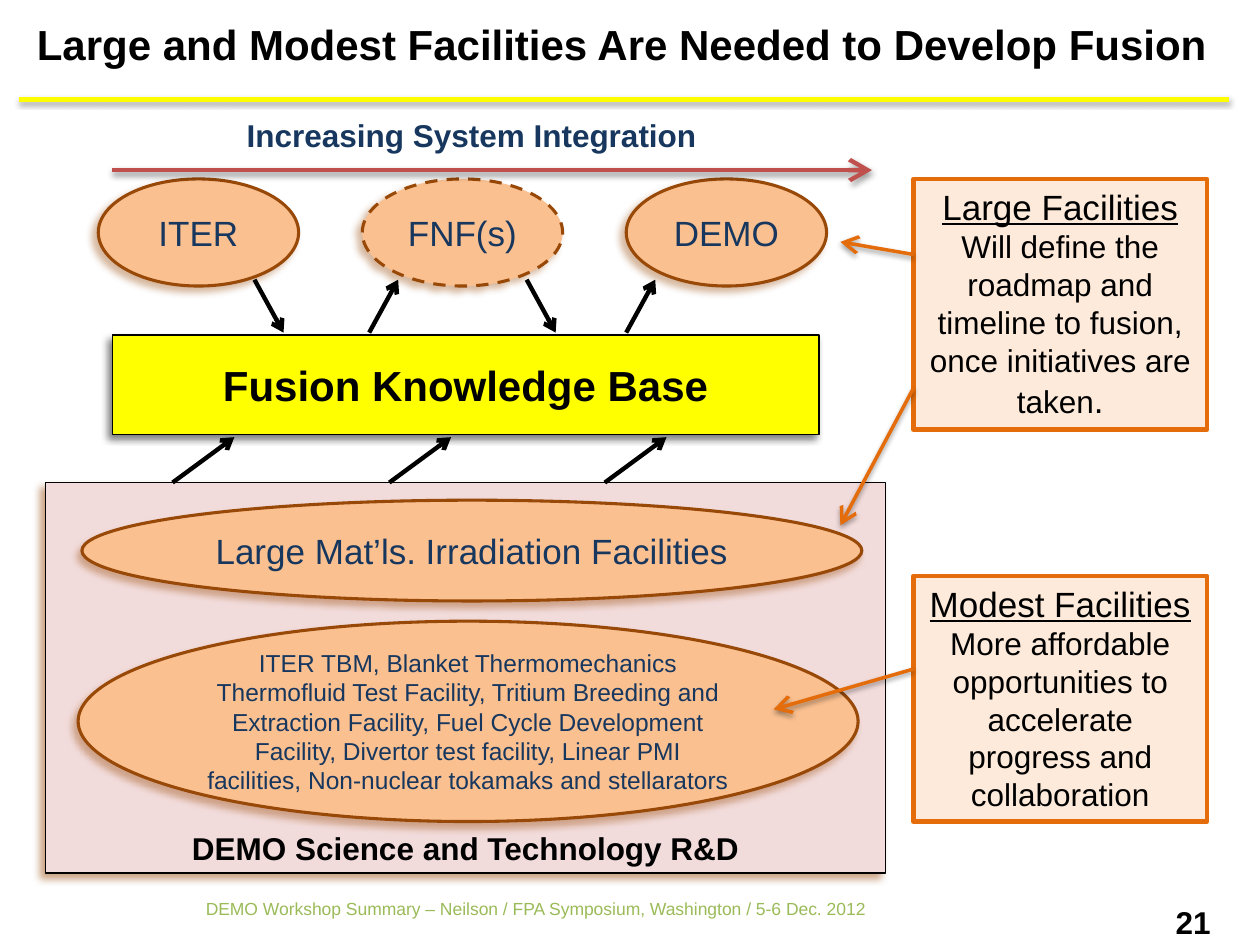
from pptx import Presentation
from pptx.dml.color import RGBColor
from pptx.enum import dml, shapes, text
from pptx.oxml.ns import qn
from pptx.util import Inches, Pt
from lxml import etree

BLACK, WHITE, YELLOW, NAVY = "000000", "FFFFFF", "FFFF00", "17375E"
PEACH, BROWN, ORANGE, RED = "FAC090", "984807", "E46C0A", "C0504D"
PINK, CREAM, GREEN = "F2DCDB", "FDEADA", "9BBB59"
RECT, OVAL = shapes.MSO_SHAPE.RECTANGLE, shapes.MSO_SHAPE.OVAL
TOP, MIDDLE, BOTTOM = (text.MSO_ANCHOR.TOP, text.MSO_ANCHOR.MIDDLE,
                       text.MSO_ANCHOR.BOTTOM)
CENTER, LEFT = text.PP_ALIGN.CENTER, text.PP_ALIGN.LEFT
BOLD = dict(bold=True)

LINE_SHADOW = (BLACK, 38, 3.1, 1.6, 90)
OVAL_SHADOW = (BROWN, 38, 4.2, 3.8, 135)
PANEL_SHADOW = (BROWN, 50, 4.2, 3.8, 135)
BASE_SHADOW = (BLACK, 50, 4, 3, 135)

TITLE = "Large and Modest Facilities Are Needed to Develop Fusion"
FOOTER = "DEMO Workshop Summary – Neilson / FPA Symposium, Washington / 5-6 Dec. 2012"
PAGE = "21"
AXIS = "Increasing System Integration"
PANEL = "DEMO Science and Technology R&D"
BASE = "Fusion Knowledge Base"
MACHINES = [("ITER", False), ("FNF(s)", True), ("DEMO", False)]
RND = [
    ("Large Mat’ls. Irradiation Facilities", 20, (0.65, 3.97, 6.19, 0.8)),
    ("ITER TBM, Blanket Thermomechanics Thermofluid Test Facility, "
     "Tritium Breeding and Extraction Facility, Fuel Cycle Development "
     "Facility, Divertor test facility, Linear PMI facilities, "
     "Non-nuclear tokamaks and stellarators", 14, (0.62, 4.93, 6.19, 1.59)),
]
CALLOUTS = [
    ("Large Facilities",
     [("Will define the roadmap and timeline to fusion, once initiatives "
       "are taken", 18), (".", 20)],
     1.42, 1.99, [(2.02, 6.67, 1.92), (3.08, 6.67, 4.17)]),
    ("Modest Facilities",
     [("More affordable opportunities to accelerate progress and "
       "collaboration", 18)],
     4.57, 1.95, [(5.31, 6.14, 5.63)]),
]
FLOWS = [
    ((2.02, 4.18), 0.23, 2.22, 2.64),
    ((2.93, 4.97), 0.23, 2.64, 2.22),
    ((1.37, 3.09, 4.8), 0.49, 3.83, 3.47),
]

prs = Presentation()
prs.slide_width, prs.slide_height = Inches(10), Inches(7.5)
slide = prs.slides.add_slide(prs.slide_layouts[5])


def rgb(color):
    return RGBColor.from_string(color)


def add_effect(s, shadow):
    sp_pr = s._element.spPr
    effects = sp_pr.find(qn("a:effectLst"))
    if effects is None:
        effects = etree.SubElement(sp_pr, qn("a:effectLst"))
    if shadow:
        color, alpha, blur, dist, angle = shadow
        outer = etree.SubElement(
            effects, qn("a:outerShdw"), blurRad=str(Pt(blur)),
            dist=str(Pt(dist)), dir=str(angle * 60000), rotWithShape="0")
        clr = etree.SubElement(outer, qn("a:srgbClr"), val=color)
        etree.SubElement(clr, qn("a:alpha"), val=str(alpha * 1000))


def write(s, paragraphs, anchor=MIDDLE, align=CENTER, wrap=True):
    tf = s.text_frame
    for name, value in dict(word_wrap=wrap, vertical_anchor=anchor,
                            auto_size=text.MSO_AUTO_SIZE.NONE).items():
        setattr(tf, name, value)
    for i, runs in enumerate(paragraphs):
        p = tf.add_paragraph() if i else tf.paragraphs[0]
        p.alignment = align
        for words, size, color, style in runs:
            r = p.add_run()
            r.text = words
            r.font.color.rgb = rgb(color)
            for name, value in dict(name="Arial", size=Pt(size), **style).items():
                setattr(r.font, name, value)


def add_box(kind, at, fill, line=None, width=0.75, shadow=None):
    s = slide.shapes.add_shape(kind, *map(Inches, at))
    s.shadow.inherit = False
    s.fill.solid()
    s.fill.fore_color.rgb = rgb(fill)
    if line:
        s.line.color.rgb = rgb(line)
        s.line.width = Pt(width)
    else:
        s.line.fill.background()
    add_effect(s, shadow)
    return s


def add_oval(words, size, at, dashed=False):
    s = add_box(OVAL, at, PEACH, BROWN, 1.75, OVAL_SHADOW)
    if dashed:
        s.line.dash_style = dml.MSO_LINE.DASH
    write(s, [[(words, size, NAVY, {})]])


def add_line(x1, y1, x2, y2, color=BLACK, width=2.5, shadow=None, head="med"):
    s = slide.shapes.add_connector(shapes.MSO_CONNECTOR.STRAIGHT,
                                   *map(Inches, (x1, y1, x2, y2)))
    s.line.color.rgb = rgb(color)
    s.line.width = Pt(width)
    if head:
        etree.SubElement(s.line._get_or_add_ln(), qn("a:tailEnd"),
                         type="arrow", w=head, len=head)
    add_effect(s, shadow)


add_line(0.15, 0.79, 9.75, 0.79, YELLOW, shadow=LINE_SHADOW, head=None)
title = slide.shapes.title
for name, value in dict(left=0.17, top=0.01, width=9.53, height=0.67).items():
    setattr(title, name, Inches(value))
write(title, [[(TITLE, 24, BLACK, BOLD)]])

page = slide.shapes.add_textbox(*map(Inches, (9.25, 7.17, 0.44, 0.29)))
write(page, [[(PAGE, 18, BLACK, BOLD)]], wrap=False)
footer = add_box(RECT, (1.45, 7.08, 5.6, 0.24), WHITE)
write(footer, [[(FOOTER, 10, GREEN, {})]], TOP)

panel = add_box(RECT, (0.36, 3.83, 6.67, 3.1), PINK, BLACK, shadow=PANEL_SHADOW)
write(panel, [[(PANEL, 18, BLACK, BOLD)]], BOTTOM)

for i, (name, dashed) in enumerate(MACHINES):
    add_oval(name, 20, (0.78 + 2.095 * i, 1.42, 1.59, 0.85), dashed)
for starts, run, y1, y2 in FLOWS:
    for x in starts:
        add_line(x, y1, x + run, y2)

base = add_box(RECT, (0.89, 2.66, 5.61, 0.79), YELLOW, BLACK, shadow=BASE_SHADOW)
write(base, [[(BASE, 24, BLACK, BOLD)]])
base.text_frame.paragraphs[0].space_after = Pt(6)
for words, size, at in RND:
    add_oval(words, size, at)

add_line(0.89, 1.35, 6.92, 1.35, RED, shadow=LINE_SHADOW, head="lg")
axis = add_box(RECT, (1.86, 0.87, 3.81, 0.4), WHITE)
write(axis, [[(AXIS, 18, NAVY, BOLD)]], TOP, LEFT, wrap=False)

for heading, body, top, height, arrows in CALLOUTS:
    s = add_box(RECT, (7.25, top, 2.33, height), CREAM, ORANGE, 2.5)
    write(s, [[(heading, 20, BLACK, dict(underline=True))],
              [(words, size, BLACK, {}) for words, size in body]], TOP)
    for y, tip_x, tip_y in arrows:
        add_line(7.25, y, tip_x, tip_y, ORANGE, 2, LINE_SHADOW, "lg")

prs.save("out.pptx")
